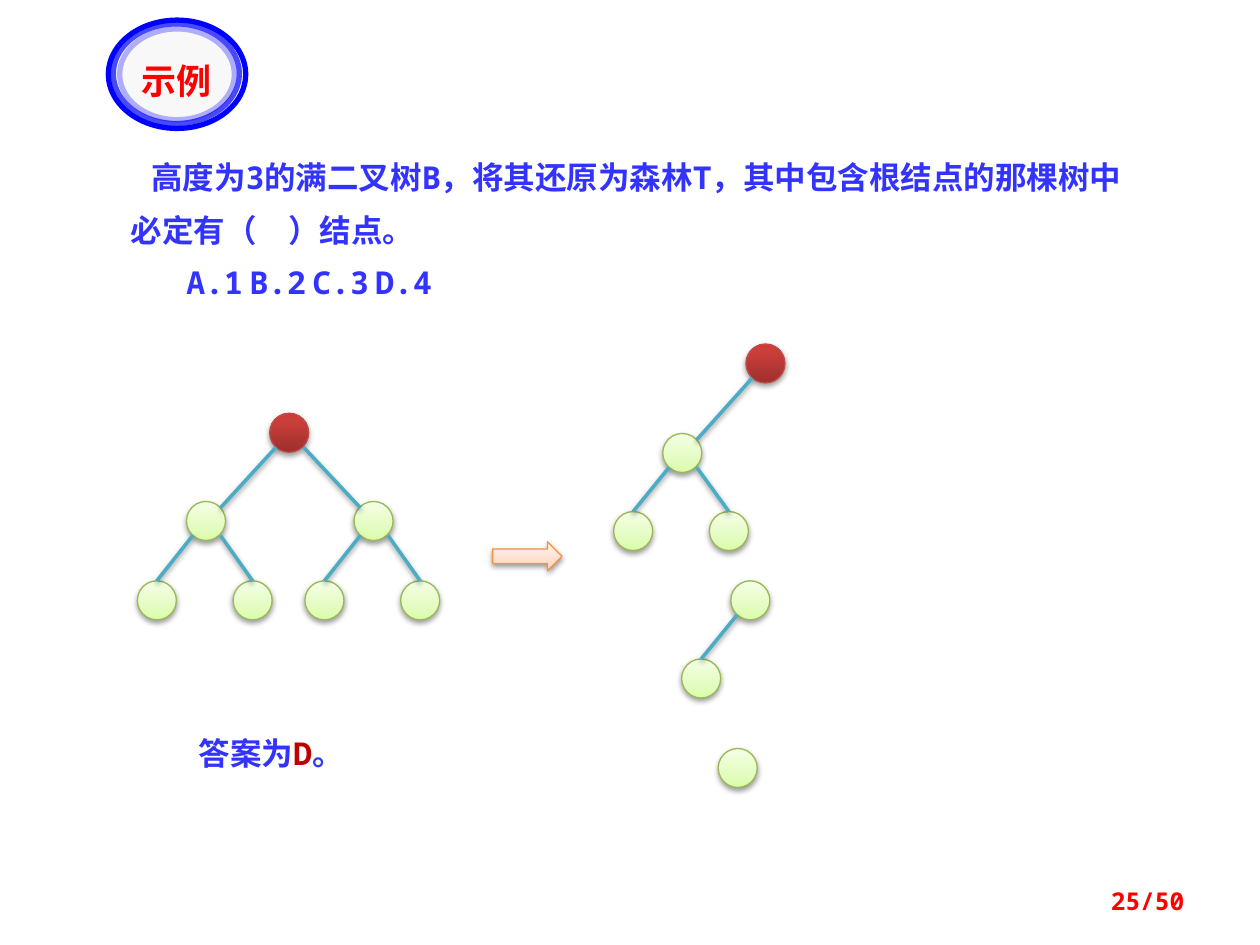
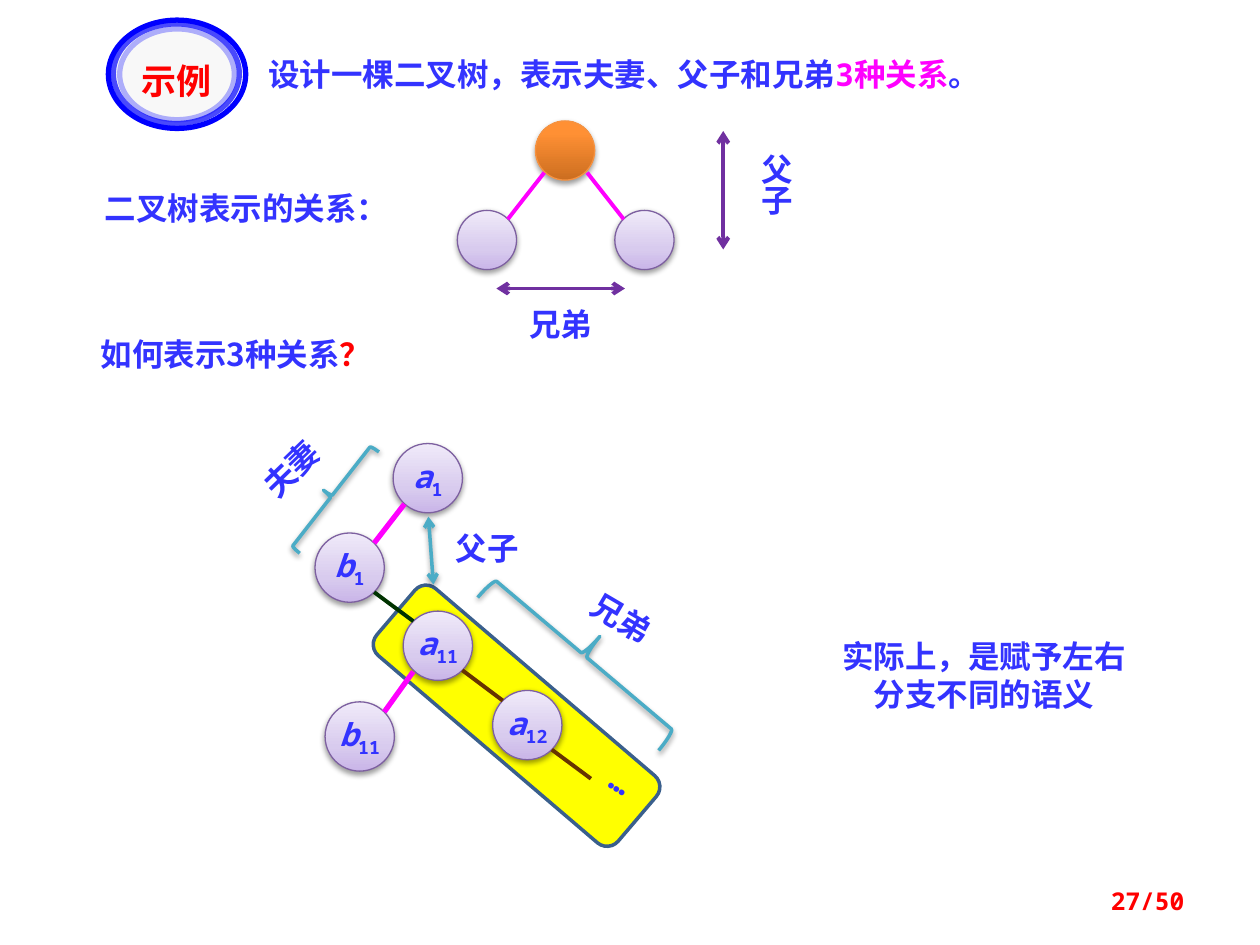
from dataclasses import dataclass

from lxml import etree
from pptx import Presentation
from pptx.dml.color import RGBColor
from pptx.enum.shapes import MSO_CONNECTOR, MSO_SHAPE
from pptx.enum.text import MSO_ANCHOR, MSO_AUTO_SIZE, PP_ALIGN
from pptx.oxml.ns import qn
from pptx.util import Inches, Pt

ELLIPSE = MSO_SHAPE.OVAL
BRACE = MSO_SHAPE.LEFT_BRACE
ROUNDED = MSO_SHAPE.ROUNDED_RECTANGLE
RIGHT_ARROW = MSO_SHAPE.RIGHT_ARROW
STRAIGHT = MSO_CONNECTOR.STRAIGHT
LEFT, CENTER, RIGHT = PP_ALIGN.LEFT, PP_ALIGN.CENTER, PP_ALIGN.RIGHT
TOP, MIDDLE = MSO_ANCHOR.TOP, MSO_ANCHOR.MIDDLE
FIT_SHAPE, NO_FIT = MSO_AUTO_SIZE.SHAPE_TO_FIT_TEXT, MSO_AUTO_SIZE.NONE


@dataclass(frozen=True)
class Theme:
    mono: str = "Noto Sans Mono"
    chinese: str = "Noto Sans CJK SC"
    badge_font: str = "Noto Sans CJK JP"
    serif: str = "Times New Roman"
    body: int = 18
    badge: int = 20
    page: int = 14
    text: str = "3333FF"
    red: str = "FF0000"
    answer: str = "C00000"
    magenta: str = "FF00FF"
    teal: str = "4BACC6"
    purple: str = "7030A0"
    green: str = "003300"
    brown: str = "663300"
    ring: str = "0000FF"
    badge_fill: str = "F8F8F8"
    yellow: str = "FFFF00"
    navy: str = "3A5F8C"
    red_node: tuple = ("BF4C48", ((0, "9C2F2D"), (80, "CB3E3A"), (100, "CE3B37")))
    green_node: tuple = ("98B955", ((0, "DAFDA7"), (35, "E4FCC2"), (100, "F5FFE7")))
    orange_node: tuple = ("F69240", ((0, "CC6E20"), (80, "FF9034"), (100, "FF9136")))
    violet_node: tuple = ("7D60A0", ((0, "C9B5E8"), (35, "D8CBEE"), (100, "F0EAF9")))
    peach_arrow: tuple = ("F69240", ((0, "FFD2BD"), (35, "FFDED0"), (100, "FFF2ED")))


theme = Theme()


def style(shape, line, width, fill=None, shadow=False, opacity=100, arrows=False):
    if isinstance(fill, tuple):
        shape.fill.gradient()
        shape.fill.gradient_angle = 90
        stops = shape._element.spPr.find(".//" + qn("a:gsLst"))
        for stop in list(stops):
            stops.remove(stop)
        for position, color in fill:
            stop = etree.SubElement(stops, qn("a:gs"), pos=str(position * 1000))
            etree.SubElement(stop, qn("a:srgbClr"), val=color)
    elif fill:
        shape.fill.solid()
        shape.fill.fore_color.rgb = RGBColor.from_string(fill)
    elif hasattr(shape, "fill"):
        shape.fill.background()
    shape.line.color.rgb = RGBColor.from_string(line)
    shape.line.width = Pt(width)
    properties = shape._element.spPr
    outline = properties.find(qn("a:ln"))
    if opacity < 100:
        color = outline.find(".//" + qn("a:srgbClr"))
        etree.SubElement(color, qn("a:alpha"), val=str(opacity * 1000))
    if arrows:
        for end in ("a:headEnd", "a:tailEnd"):
            etree.SubElement(outline, qn(end), type="arrow")
    effects = etree.SubElement(properties, qn("a:effectLst"))
    if shadow:
        outer = etree.SubElement(effects, qn("a:outerShdw"), blurRad="40000",
                                 dist="20000", dir="5400000", rotWithShape="0")
        color = etree.SubElement(outer, qn("a:srgbClr"), val="000000")
        etree.SubElement(color, qn("a:alpha"), val="38000")


def write(shape, runs, font=theme.chinese, size=theme.body, align=LEFT, anchor=TOP,
          fit=FIT_SHAPE, wrap=True, paragraph=None):
    frame = shape.text_frame
    frame.word_wrap = wrap
    frame.auto_size = fit
    frame.vertical_anchor = anchor
    paragraph = paragraph or frame.paragraphs[0]
    paragraph.alignment = align
    for text, color, *kind in runs:
        run = paragraph.add_run()
        run.text = text
        run.font.size = Pt(size)
        run.font.bold = True
        run.font.italic = "italic" in kind
        run.font.name = font
        run.font.color.rgb = RGBColor.from_string(color)
        properties = run._r.get_or_add_rPr()
        east_asian = theme.badge_font if font == theme.badge_font else theme.chinese
        etree.SubElement(properties, qn("a:ea"), typeface=east_asian)
        if "subscript" in kind:
            properties.set("baseline", "-25000")


presentation = Presentation()
presentation.slide_width = Inches(10)
presentation.slide_height = Inches(7.5)
title_only = presentation.slide_layouts[5]

badge_rings = [
    (0.86, 0.16, 1.09, 0.86, theme.badge_fill, 100),
    (0.9, 0.19, 1, 0.79, None, 70),
    (0.95, 0.23, 0.91, 0.72, None, 30),
]
slides = []
for page in ("25/50", "27/50"):
    slide = presentation.slides.add_slide(title_only)
    for *box, fill, opacity in badge_rings:
        ring = slide.shapes.add_shape(ELLIPSE, *map(Inches, box))
        style(ring, theme.ring, 3, fill, opacity=opacity)
    title = slide.shapes.title
    title.left, title.top, title.width, title.height = map(Inches, (0.92, 0.42, 0.96, 0.39))
    write(title, [("示例", theme.red)], theme.badge_font, theme.badge, CENTER)
    slide.shapes._spTree.append(title._element)
    page_number = slide.shapes.add_textbox(*map(Inches, (7.17, 6.95, 2.33, 0.4)))
    write(page_number, [(page, theme.red)], theme.mono, theme.page, RIGHT, MIDDLE, NO_FIT)
    slides.append(slide)
forest_slide, family_slide = slides

question = forest_slide.shapes.add_textbox(*map(Inches, (0.94, 1.09, 8.28, 1.36)))
stem = question.text_frame.paragraphs[0]
options = question.text_frame.add_paragraph()
stem._p.get_or_add_pPr().set("indent", str(Inches(0.16)))
option_properties = options._p.get_or_add_pPr()
option_properties.set("marL", str(Inches(0.44)))
option_properties.set("indent", "0")
tabs = etree.SubElement(option_properties, qn("a:tabLst"))
for position in (2, 4, 6):
    etree.SubElement(tabs, qn("a:tab"), pos=str(Inches(position)), algn="l")
question_lines = [
    (stem, "高度为3的满二叉树B，将其还原为森林T，其中包含根结点的那棵树中必定有（　）结点。"),
    (options, "A.1\tB.2\tC.3\tD.4"),
]
for paragraph, text in question_lines:
    paragraph.line_spacing = Pt(30)
    write(question, [(text, theme.text)], theme.mono, paragraph=paragraph)

answer = forest_slide.shapes.add_textbox(*map(Inches, (1.48, 5.78, 1.8, 0.4)))
write(answer, [("答案为", theme.text), ("D", theme.answer), ("。", theme.text)], theme.mono)

node_size = 0.31
tree_nodes = [
    (2.14, 3.28), (1.48, 3.98), (2.81, 3.98),
    (1.09, 4.61), (1.85, 4.61), (2.42, 4.61), (3.18, 4.61),
    (5.92, 2.73), (5.26, 3.44), (4.87, 4.06), (5.63, 4.06),
    (5.8, 4.61), (5.41, 5.23), (5.7, 5.94),
]
root_indexes = (0, 7)
tree_edges = [(0, 1), (0, 2), (1, 3), (1, 4), (2, 5), (2, 6),
              (7, 8), (8, 9), (8, 10), (11, 12)]
for index, (left, top) in enumerate(tree_nodes):
    node = forest_slide.shapes.add_shape(
        ELLIPSE, Inches(left), Inches(top), Inches(node_size), Inches(node_size))
    line, fill = theme.red_node if index in root_indexes else theme.green_node
    style(node, line, 0.75, fill, shadow=True)
for parent, child in tree_edges:
    parent_left, parent_top = tree_nodes[parent]
    child_left, child_top = tree_nodes[child]
    near, far = (0.05, 0.27) if child_left < parent_left else (0.27, 0.05)
    end_x, end_y = (far, 0.05) if parent in root_indexes else (node_size / 2, 0)
    edge = forest_slide.shapes.add_connector(
        STRAIGHT, Inches(parent_left + near), Inches(parent_top + 0.27),
        Inches(child_left + end_x), Inches(child_top + end_y))
    style(edge, theme.teal, 2, shadow=True)

conversion_arrow = forest_slide.shapes.add_shape(
    RIGHT_ARROW, *map(Inches, (3.91, 4.3, 0.55, 0.23)))
arrow_line, arrow_fill = theme.peach_arrow
style(conversion_arrow, arrow_line, 0.75, arrow_fill, shadow=True)

sibling_band = family_slide.shapes.add_shape(ROUNDED, *map(Inches, (3.75, 4.42, 0.7, 2.52)))
sibling_band.rotation = 310.5
style(sibling_band, theme.navy, 2, theme.yellow)

for *box, rotation in [(2.55, 3.43, 0.16, 1.02, 38), (4.44, 4.26, 0.39, 1.88, 130.2)]:
    brace = family_slide.shapes.add_shape(BRACE, *map(Inches, box))
    brace.rotation = rotation
    style(brace, theme.teal, 2, shadow=True)

family_nodes = [
    (4.25, 0.96, 0.47, theme.orange_node, "", ""),
    (3.63, 1.67, 0.47, theme.violet_node, "", ""),
    (4.88, 1.67, 0.47, theme.violet_node, "", ""),
    (3.12, 3.52, 0.55, theme.violet_node, "a", "1"),
    (2.5, 4.23, 0.55, theme.violet_node, "b", "1"),
    (3.2, 4.85, 0.55, theme.violet_node, "a", "11"),
    (3.91, 5.48, 0.55, theme.violet_node, "a", "12"),
    (2.58, 5.57, 0.55, theme.violet_node, "b", "11"),
]
for left, top, size, (line, fill), letter, number in family_nodes:
    node = family_slide.shapes.add_shape(
        ELLIPSE, Inches(left), Inches(top), Inches(size), Inches(size))
    style(node, line, 0.75, fill, shadow=True)
    if letter:
        write(node, [(letter, theme.text, "italic"), (number, theme.text, "subscript")],
              theme.mono, align=CENTER, anchor=MIDDLE, fit=NO_FIT, wrap=False)

family_lines = [
    (4.32, 1.37, 4.03, 1.74, theme.magenta, 2.25, False),
    (4.66, 1.37, 4.95, 1.74, theme.magenta, 2.25, False),
    (5.74, 1.04, 5.74, 1.98, theme.purple, 2.25, True),
    (3.94, 2.29, 4.96, 2.29, theme.purple, 2.25, True),
    (3.4, 4.1, 3.44, 4.64, theme.teal, 2, True),
    (3.21, 4, 2.97, 4.31, theme.magenta, 3, False),
    (3.28, 5.33, 3.05, 5.65, theme.magenta, 3, False),
    (2.97, 4.7, 3.28, 4.93, theme.green, 2.25, False),
    (3.67, 5.32, 3.99, 5.56, theme.brown, 2.25, False),
    (4.38, 5.95, 4.69, 6.18, theme.brown, 2.25, False),
]
for *ends, color, width, arrows in family_lines:
    connector = family_slide.shapes.add_connector(STRAIGHT, *map(Inches, ends))
    style(connector, color, width, shadow=color == theme.teal, arrows=arrows)

family_labels = [
    ((2.03, 0.39, 6.64, 0.4), 0, LEFT, theme.mono,
     [("设计一棵二叉树，表示夫妻、父子和兄弟", theme.text),
      ("3种关系", theme.magenta), ("。", theme.text)]),
    ((0.47, 1.45, 2.97, 0.4), 0, CENTER, theme.serif, [("二叉树表示的关系：", theme.text)]),
    ((0.7, 2.61, 2.78, 0.4), 0, LEFT, theme.chinese,
     [("如何表示3种关系", theme.text), ("？", theme.red)]),
    ((4.1, 2.37, 1.02, 0.4), 0, LEFT, theme.chinese, [("兄弟", theme.text)]),
    ((3.52, 4.15, 0.78, 0.4), 0, LEFT, theme.chinese, [("父子", theme.text)]),
    ((1.92, 3.52, 0.78, 0.4), 315.8, CENTER, theme.chinese, [("夫妻", theme.text)]),
    ((4.39, 4.7, 1.09, 0.4), 30.4, CENTER, theme.chinese, [("兄弟", theme.text)]),
    ((6.56, 5.01, 2.5, 0.71), 0, CENTER, theme.chinese,
     [("实际上，是赋予左右分支不同的语义", theme.text)]),
]
for box, rotation, align, font, runs in family_labels:
    label = family_slide.shapes.add_textbox(*map(Inches, box))
    label.rotation = rotation
    write(label, runs, font, align=align)

generation_label = family_slide.shapes.add_textbox(*map(Inches, (5.86, 1.12, 0.5, 0.78)))
generation_label.text_frame._txBody.bodyPr.set("vert", "eaVert")
write(generation_label, [("父子", theme.text)])

more_siblings = family_slide.shapes.add_textbox(*map(Inches, (4.7, 6.05, 0.47, 0.3)))
more_siblings.rotation = 32.4
frame = more_siblings.text_frame
frame.margin_left = frame.margin_top = frame.margin_right = frame.margin_bottom = 0
write(more_siblings, [("…", theme.text)], theme.mono, align=CENTER)

presentation.save("out.pptx")
